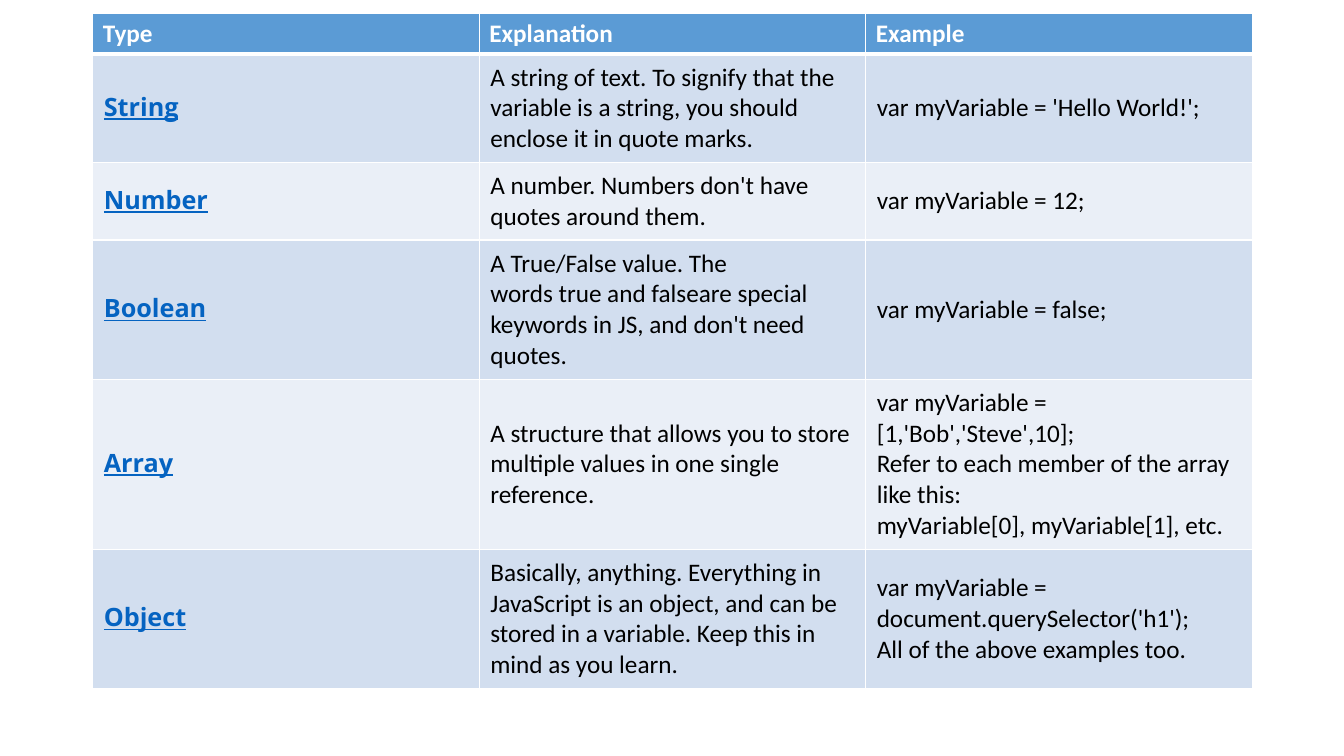
import dataclasses

import lxml.etree
import pptx
import pptx.dml.color
import pptx.enum.text
import pptx.oxml.ns
import pptx.util

Inches = pptx.util.Inches
Pt = pptx.util.Pt
Anchor = pptx.enum.text.MSO_ANCHOR


@dataclasses.dataclass(frozen=True)
class Theme:
    header: str = "5B9BD5"
    bands: tuple[str, str] = ("D2DEEF", "EAEFF7")
    link: str = "0563C1"
    text: str = "000000"
    white: str = "FFFFFF"
    body_font: str = "Calibri"
    link_font: str = "Open Sans"
    size: int = 18
    thin: int = 1
    thick: int = 3


@dataclasses.dataclass(frozen=True)
class DataType:
    name: str
    explanation: str
    example: str
    height: float


THEME = Theme()
HEADINGS = ("Type", "Explanation", "Example")
HEADER_HEIGHT = 0.4
COLUMN_WIDTH = 11.5 / len(HEADINGS)
HEADER_INSETS = (0.1, 0.05, 0.1, 0.05)
LINK_INSETS = (0.11, 0.03, 0.11, 0.06)
BODY_INSETS = (0.11, 0.08, 0.11, 0.08)
DATA_TYPES = (
    DataType(
        "String",
        "A string of text. To signify that the variable is a string, "
        "you should enclose it in quote marks.",
        "var myVariable = 'Hello World!';",
        1.05,
    ),
    DataType(
        "Number",
        "A number. Numbers don't have quotes around them.",
        "var myVariable = 12;",
        0.76,
    ),
    DataType(
        "Boolean",
        "A True/False value. The words\u00a0true\u00a0and\u00a0falseare special "
        "keywords in JS, and don't need quotes.",
        "var myVariable = false;",
        1.35,
    ),
    DataType(
        "Array",
        "A structure that allows you to store multiple values in one single reference.",
        "var myVariable = [1,'Bob','Steve',10];\n"
        "Refer to each member of the array like this:\n"
        "myVariable[0],\u00a0myVariable[1], etc.",
        1.64,
    ),
    DataType(
        "Object",
        "Basically, anything. Everything in JavaScript is an object, and can be "
        "stored in a variable. Keep this in mind as you learn.",
        "var myVariable = document.querySelector('h1');\n"
        "All of the above examples too.",
        1.35,
    ),
)


def rgb(color: str) -> pptx.dml.color.RGBColor:
    return pptx.dml.color.RGBColor.from_string(color)


def write(tf, text: str, *, color: str = THEME.text, font: str = THEME.body_font,
          bold: bool = False, underline: bool = False) -> None:
    p = tf.paragraphs[0]
    for i, line in enumerate(text.split("\n")):
        if i:
            p.add_line_break()
        r = p.add_run()
        r.text = line
        r.font.name = font
        r.font.size = Pt(THEME.size)
        r.font.bold = bold
        r.font.underline = underline
        r.font.color.rgb = rgb(color)


def set_borders(cell, top: int, bottom: int) -> None:
    tc_pr = cell._tc.get_or_add_tcPr()
    widths = {"lnL": THEME.thin, "lnR": THEME.thin, "lnT": top, "lnB": bottom}
    for i, (tag, width) in enumerate(widths.items()):
        ln = lxml.etree.Element(pptx.oxml.ns.qn(f"a:{tag}"), w=str(Pt(width)))
        fill = lxml.etree.SubElement(ln, pptx.oxml.ns.qn("a:solidFill"))
        lxml.etree.SubElement(fill, pptx.oxml.ns.qn("a:srgbClr"), val=THEME.white)
        tc_pr.insert(i, ln)


def style_cell(cell, fill: str, insets: tuple[float, float, float, float],
               anchor: Anchor = Anchor.MIDDLE, top: int = THEME.thin,
               bottom: int = THEME.thin) -> None:
    cell.fill.solid()
    cell.fill.fore_color.rgb = rgb(fill)
    cell.vertical_anchor = anchor
    (cell.margin_left, cell.margin_top,
     cell.margin_right, cell.margin_bottom) = map(Inches, insets)
    set_borders(cell, top, bottom)


def add_type_row(table, row: int, data: DataType) -> None:
    table.rows[row].height = Inches(data.height)
    fill = THEME.bands[(row - 1) % 2]
    top = THEME.thick if row == 1 else THEME.thin
    for col, text in enumerate((data.name, data.explanation, data.example)):
        cell = table.cell(row, col)
        if col == 0:
            style_cell(cell, fill, LINK_INSETS, top=top)
            write(cell.text_frame, text, color=THEME.link, font=THEME.link_font,
                  bold=True, underline=True)
        else:
            style_cell(cell, fill, BODY_INSETS, top=top)
            write(cell.text_frame, text)


prs = pptx.Presentation()
prs.slide_width = Inches(13.33)
prs.slide_height = Inches(7.5)
s = prs.slides.add_slide(prs.slide_layouts[6])

total_height = HEADER_HEIGHT + sum(data.height for data in DATA_TYPES)
table = s.shapes.add_table(
    len(DATA_TYPES) + 1, len(HEADINGS), Inches(0.92), Inches(0.13),
    Inches(COLUMN_WIDTH * len(HEADINGS)), Inches(total_height),
).table
table.rows[0].height = Inches(HEADER_HEIGHT)
for col, heading in enumerate(HEADINGS):
    table.columns[col].width = Inches(COLUMN_WIDTH)
    cell = table.cell(0, col)
    style_cell(cell, THEME.header, HEADER_INSETS, Anchor.TOP, bottom=THEME.thick)
    write(cell.text_frame, heading, color=THEME.white, bold=True)
for row, data in enumerate(DATA_TYPES, start=1):
    add_type_row(table, row, data)

prs.save("out.pptx")
